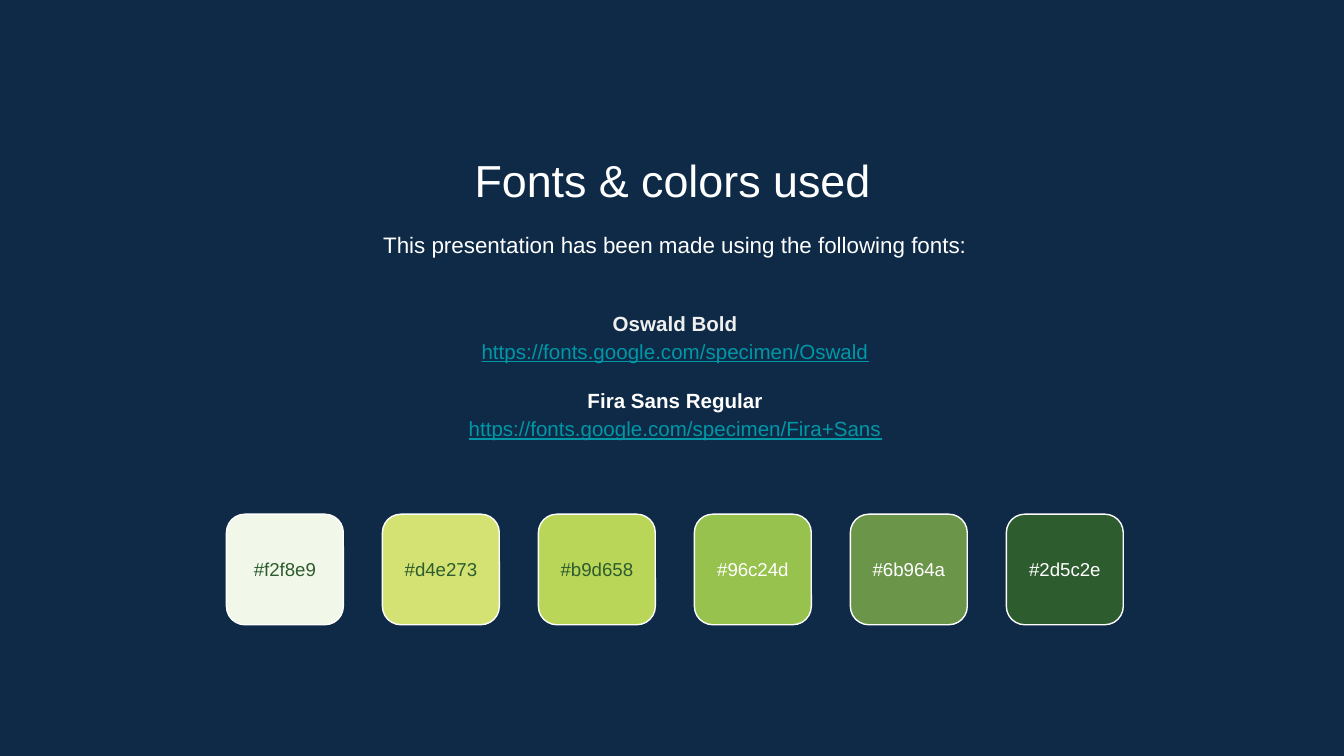
from pptx import Presentation
from pptx.dml.color import RGBColor
from pptx.enum.shapes import MSO_SHAPE
from pptx.enum.text import MSO_ANCHOR, PP_ALIGN
from pptx.util import Cm, Pt

FONT = "Arial"
COLORS = {
    "background": "0E2A47",
    "white": "FFFFFF",
    "soft": "EFEFEF",
    "link": "0097A7",
    "green": "2D5C2E",
}
FONT_SOURCES = [
    ("Oswald Bold", "soft", "https://fonts.google.com/specimen/Oswald"),
    ("Fira Sans Regular", "white", "https://fonts.google.com/specimen/Fira+Sans"),
]
# Swatch hex code and the colour of its label
SWATCHES = [
    ("f2f8e9", "green"), ("d4e273", "green"), ("b9d658", "green"),
    ("96c24d", "white"), ("6b964a", "white"), ("2d5c2e", "white"),
]


def rgb(hex_code):
    return RGBColor.from_string(hex_code.upper())


def set_text(p, text, size, color, bold=False, underline=False):
    p.text = text
    p.alignment = PP_ALIGN.CENTER
    p.font.name = FONT
    p.font.size = Pt(size)
    p.font.bold = bold
    p.font.underline = underline
    p.font.color.rgb = rgb(COLORS[color])


def set_frame(tf, margin, anchor):
    tf.word_wrap = True
    tf.vertical_anchor = anchor
    tf.margin_left = tf.margin_right = Cm(margin)
    tf.margin_top = tf.margin_bottom = Cm(margin)


def add_text_frame(s, left, top, width, height, anchor=MSO_ANCHOR.TOP):
    tf = s.shapes.add_textbox(Cm(left), Cm(top), Cm(width), Cm(height)).text_frame
    set_frame(tf, 0.25, anchor)
    return tf


def add_heading(s, left, top, width):
    """Title with the introductory line below it."""
    tf = add_text_frame(s, left, top, width, 1.35)
    set_text(tf.paragraphs[0], "Fonts & colors used", 24, "white")

    tf = add_text_frame(s, left + 0.05, top + 1.4, width, 1.22)
    p = tf.paragraphs[0]
    set_text(p, "This presentation has been made using the following fonts:", 12, "white")
    p.line_spacing = 1.15


def add_font_list(s, left, top, width, height):
    """Each font name followed by its address."""
    tf = add_text_frame(s, left, top, width, height, MSO_ANCHOR.MIDDLE)
    for i, (name, color, address) in enumerate(FONT_SOURCES):
        p = tf.add_paragraph() if i else tf.paragraphs[0]
        set_text(p, name, 11, color, bold=True)
        p.line_spacing = 1.15
        if i:
            p.space_before = Pt(11)
        p = tf.add_paragraph()
        set_text(p, address, 11, "link", underline=True)
        p.line_spacing = 1.15


def add_palette(s, left, top, width, height):
    """Row of equally spaced swatches labelled with their codes."""
    swatch_width = 2.21
    step = (width - swatch_width) / (len(SWATCHES) - 1)
    for i, (code, label_color) in enumerate(SWATCHES):
        sp = s.shapes.add_shape(MSO_SHAPE.ROUNDED_RECTANGLE, Cm(left + i * step),
                                Cm(top), Cm(swatch_width), Cm(height))
        sp.shadow.inherit = False
        sp.fill.solid()
        sp.fill.fore_color.rgb = rgb(code)
        sp.line.color.rgb = rgb(COLORS["white"])
        sp.line.width = Pt(0.75)
        set_frame(sp.text_frame, 0, MSO_ANCHOR.MIDDLE)
        set_text(sp.text_frame.paragraphs[0], f"#{code}", 10, label_color)


def main():
    prs = Presentation()
    prs.slide_width, prs.slide_height = Cm(25.4), Cm(14.29)
    s = prs.slides.add_slide(prs.slide_layouts[6])
    s.background.fill.solid()
    s.background.fill.fore_color.rgb = rgb(COLORS["background"])

    add_heading(s, 2.92, 2.64, 19.58)
    add_font_list(s, 2.97, 5.33, 19.58, 3.48)
    add_palette(s, 4.28, 9.72, 16.95, 2.09)

    prs.save("out.pptx")


if __name__ == "__main__":
    main()
